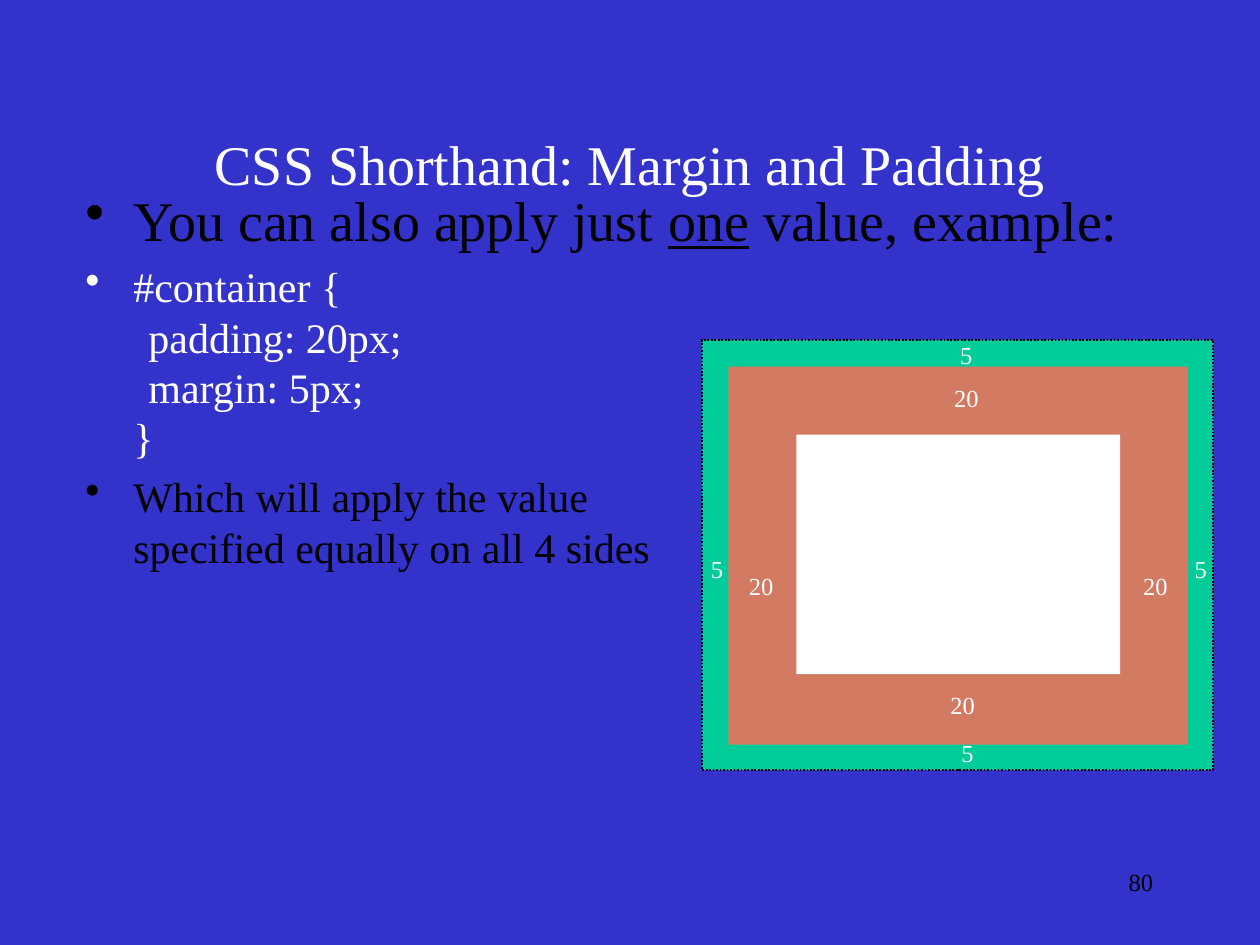
from pptx import Presentation
from pptx.dml.color import RGBColor
from pptx.enum.dml import MSO_LINE
from pptx.enum.shapes import MSO_SHAPE
from pptx.enum.text import MSO_ANCHOR, PP_ALIGN
from pptx.util import Inches, Pt
from lxml import etree

RECT = MSO_SHAPE.RECTANGLE
DOTTED = MSO_LINE.ROUND_DOT
TOP, MIDDLE = MSO_ANCHOR.TOP, MSO_ANCHOR.MIDDLE
LEFT, CENTER, RIGHT = PP_ALIGN.LEFT, PP_ALIGN.CENTER, PP_ALIGN.RIGHT
A = "http://schemas.openxmlformats.org/drawingml/2006/main"
BLUE, GREEN, ORANGE = "3333CC", "00CC99", "D27B62"
WHITE, BLACK = "FFFFFF", "000000"


def rgb(value):
    return RGBColor.from_string(value)


class SlideBuilder:
    font = "Times New Roman"
    indent = 0.38

    def __init__(self, prs, background):
        self.s = prs.slides.add_slide(prs.slide_layouts[6])
        fill = self.s.background.fill
        fill.solid()
        fill.fore_color.rgb = rgb(background)

    def frame(self, box, anchor=TOP):
        tf = self.s.shapes.add_textbox(*map(Inches, box)).text_frame
        tf.word_wrap = True
        tf.vertical_anchor = anchor
        return tf

    def run(self, p, text, size, color, underline=None):
        for i, line in enumerate(text.split("\n")):
            if i:
                p.add_line_break()
            r = p.add_run()
            r.text = line
            style = {"name": self.font, "size": Pt(size), "underline": underline}
            for name, value in style.items():
                setattr(r.font, name, value)
            r.font.color.rgb = rgb(color)

    def text(self, box, text, size, color, align=LEFT, anchor=TOP):
        p = self.frame(box, anchor).paragraphs[0]
        p.alignment = align
        self.run(p, text, size, color)

    def bullets(self, box, items):
        tf = self.frame(box)
        for i, (size, color, parts) in enumerate(items):
            p = tf.add_paragraph() if i else tf.paragraphs[0]
            pPr = p._p.get_or_add_pPr()
            pPr.set("marL", str(Inches(self.indent)))
            pPr.set("indent", str(-Inches(self.indent)))
            etree.SubElement(pPr, f"{{{A}}}buChar", char="•")
            if i:
                p.space_before = Pt(0.2 * size)
            for text, underline in parts:
                self.run(p, text, size, color, underline)

    def rect(self, box, fill, dotted=False):
        sp = self.s.shapes.add_shape(RECT, *map(Inches, box))
        sp.shadow.inherit = False
        sp.fill.solid()
        sp.fill.fore_color.rgb = rgb(fill)
        if dotted:
            sp.line.color.rgb = rgb(BLACK)
            sp.line.width = Pt(1)
            sp.line.dash_style = DOTTED
        else:
            sp.line.fill.background()


def main():
    prs = Presentation()
    prs.slide_width, prs.slide_height = Inches(10), Inches(7.5)
    slide = SlideBuilder(prs, BLUE)

    # Slide number, title and body
    slide.text((7.17, 6.83, 2.08, 0.5), "80", 14, BLACK, RIGHT)
    slide.text((0.75, 0.67, 8.5, 1.25), "CSS Shorthand: Margin and Padding",
               32, WHITE, CENTER, MIDDLE)
    slide.bullets((0.58, 1.42, 9.08, 3.9), [
        (32, BLACK, [("You can also apply just ", None), ("one", True),
                     (" value, example:", None)]),
        (24, WHITE, [("#container {\n\tpadding: 20px;\n\tmargin: 5px;\n}", None)]),
        (24, BLACK, [("Which will apply the value \n"
                      "specified equally on all 4 sides", None)]),
    ])

    # Box model: margin, padding, content
    slide.rect((5.57, 2.7, 4.06, 3.41), GREEN, dotted=True)
    slide.rect((5.78, 2.91, 3.65, 3), ORANGE)
    slide.rect((6.32, 3.45, 2.57, 1.9), WHITE)

    # Values on the bottom, left, right and top sides
    labels = {
        "5": [(7.21, 5.81), (5.22, 4.35), (9.06, 4.35), (7.2, 2.65)],
        "20": [(7.17, 5.43), (5.57, 4.48), (8.7, 4.48), (7.2, 2.99)],
    }
    for value, places in labels.items():
        for x, y in places:
            slide.text((x, y, 0.94, 0.33), value, 14, WHITE, CENTER)

    prs.save("out.pptx")


if __name__ == "__main__":
    main()
